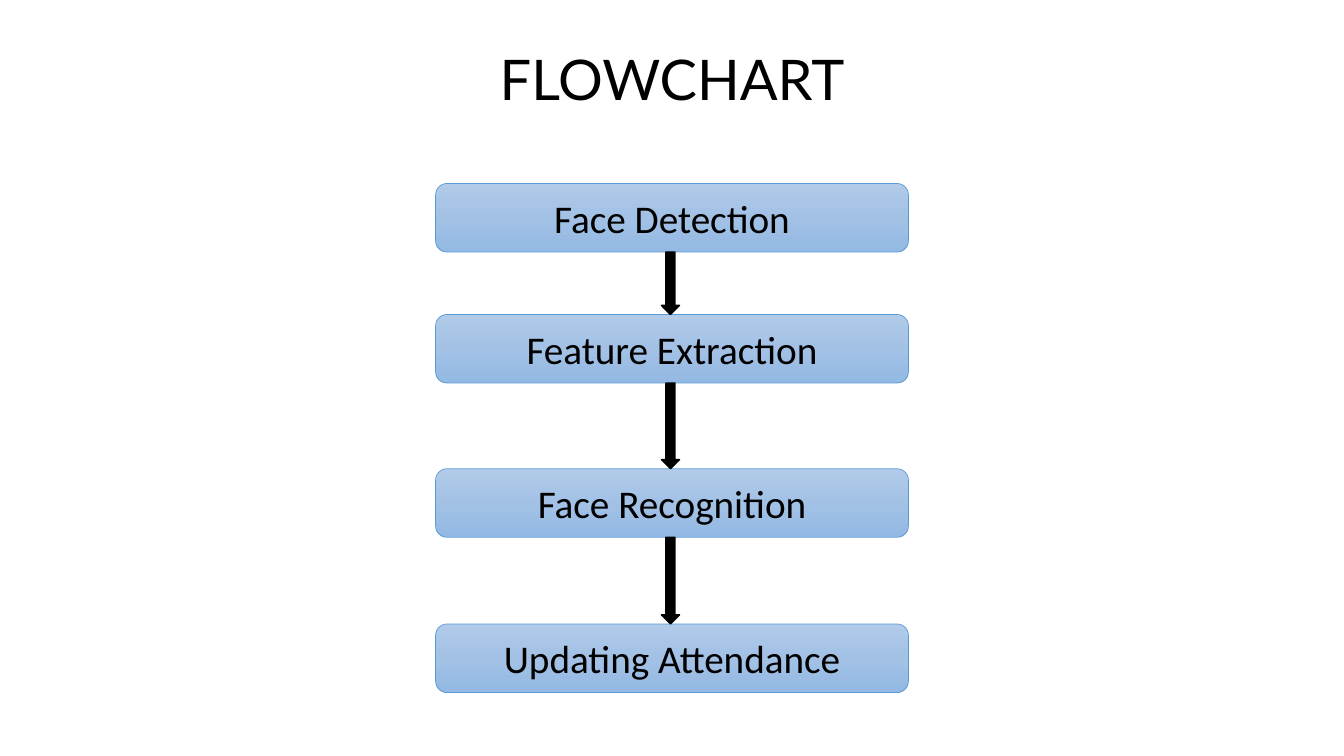
import copy

import pptx
import pptx.dml.color
import pptx.enum.shapes
import pptx.enum.text
import pptx.oxml.ns
import pptx.util

Inches = pptx.util.Inches
Pt = pptx.util.Pt
MSO_SHAPE = pptx.enum.shapes.MSO_SHAPE

STEPS = [
    ("Face Detection", 1.82),
    ("Feature Extraction", 3.12),
    ("Face Recognition", 4.65),
    ("Updating Attendance", 6.19),
]
STEP_LEFT, STEP_WIDTH, STEP_HEIGHT = 4.32, 4.69, 0.68
ARROW_LEFT, ARROW_WIDTH = 6.56, 0.18


def rgb(value):
    return pptx.dml.color.RGBColor.from_string(value)


class FlowchartSlide:
    black = "000000"
    step_line = "5B9BD5"
    step_gradient = ["B1CBE9", "A3C1E5", "93B9E4"]

    def __init__(self, prs):
        self.s = prs.slides.add_slide(prs.slide_layouts[6])

    def set_text(self, sp, text, font, size):
        tf = sp.text_frame
        tf.word_wrap = True
        tf.text = text
        p = tf.paragraphs[0]
        p.alignment = pptx.enum.text.PP_ALIGN.CENTER
        r = p.runs[0]
        r.font.name = font
        r.font.size = Pt(size)
        r.font.color.rgb = rgb(self.black)
        return tf

    def title(self, text, left, top, width, height):
        sp = self.s.shapes.add_textbox(
            Inches(left), Inches(top), Inches(width), Inches(height))
        tf = self.set_text(sp, text, "Lato", 40)
        tf.auto_size = pptx.enum.text.MSO_AUTO_SIZE.SHAPE_TO_FIT_TEXT

    def shape(self, kind, left, top, width, height, line, line_width):
        sp = self.s.shapes.add_shape(
            kind, Inches(left), Inches(top), Inches(width), Inches(height))
        sp.shadow.inherit = False
        sp.line.color.rgb = rgb(line)
        sp.line.width = Pt(line_width)
        return sp

    def step(self, text, top):
        sp = self.shape(MSO_SHAPE.ROUNDED_RECTANGLE, STEP_LEFT, top,
                        STEP_WIDTH, STEP_HEIGHT, self.step_line, 0.5)
        self.fill_gradient(sp)
        tf = self.set_text(sp, text, "Calibri", 28)
        tf.vertical_anchor = pptx.enum.text.MSO_ANCHOR.MIDDLE

    def fill_gradient(self, sp):
        sp.fill.gradient()
        sp.fill.gradient_angle = 270
        # A new gradient has two stops; insert the middle one
        stops = sp._element.spPr.find(".//" + pptx.oxml.ns.qn("a:gsLst"))
        middle = copy.deepcopy(stops[0])
        middle.set("pos", "50000")
        stops.insert(1, middle)
        for stop, color in zip(sp.fill.gradient_stops, self.step_gradient):
            stop.color.rgb = rgb(color)

    def arrow(self, top, bottom):
        sp = self.shape(MSO_SHAPE.DOWN_ARROW, ARROW_LEFT, top,
                        ARROW_WIDTH, bottom - top, self.black, 1)
        sp.fill.solid()
        sp.fill.fore_color.rgb = rgb(self.black)


def main():
    prs = pptx.Presentation()
    prs.slide_width = Inches(13.33)
    prs.slide_height = Inches(7.5)
    slide = FlowchartSlide(prs)

    # Title
    slide.title("FLOWCHART", 4.59, 0.39, 4.15, 0.77)

    # Steps
    for text, top in STEPS:
        slide.step(text, top)

    # Arrows from each step to the next
    for (_, top), (_, next_top) in zip(STEPS, STEPS[1:]):
        slide.arrow(top + STEP_HEIGHT, next_top)

    prs.save("out.pptx")


if __name__ == "__main__":
    main()
